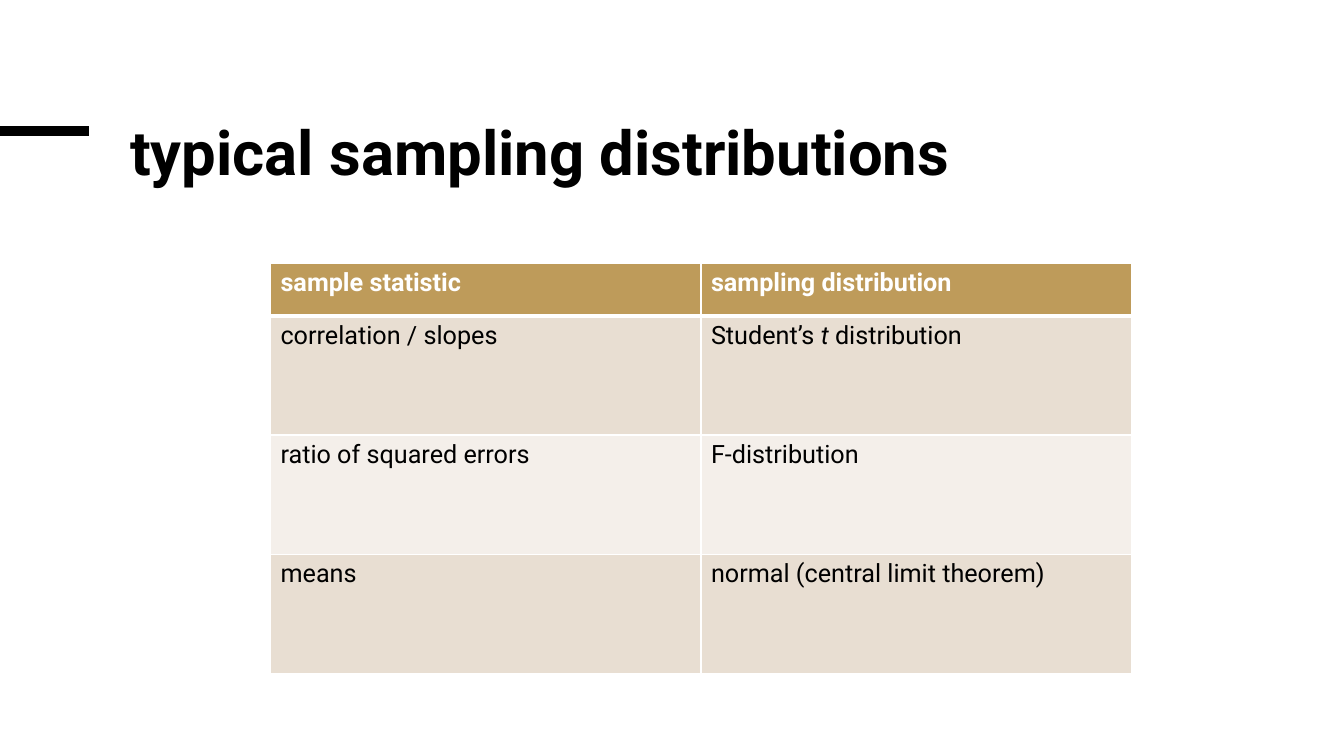
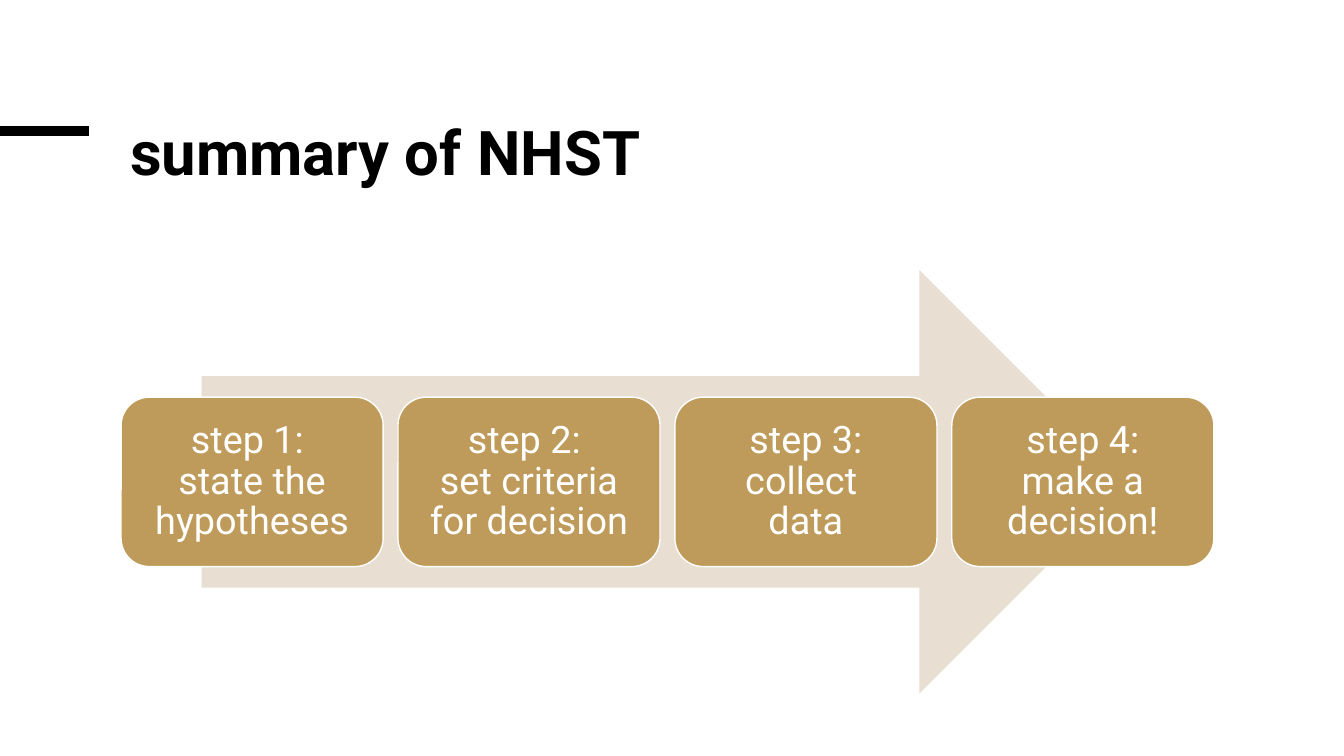
from lxml import etree
from pptx import Presentation
from pptx.dml.color import RGBColor
from pptx.enum.shapes import MSO_CONNECTOR, MSO_SHAPE
from pptx.enum.text import MSO_ANCHOR, MSO_AUTO_SIZE, PP_ALIGN
from pptx.oxml.ns import qn
from pptx.util import Pt

STRAIGHT = MSO_CONNECTOR.STRAIGHT
ARROW = MSO_SHAPE.RIGHT_ARROW
ROUNDED = MSO_SHAPE.ROUNDED_RECTANGLE
TOP, MIDDLE = MSO_ANCHOR.TOP, MSO_ANCHOR.MIDDLE
LEFT, CENTER = PP_ALIGN.LEFT, PP_ALIGN.CENTER
NO_FIT = MSO_AUTO_SIZE.NONE

FONT = "Roboto"
COLORS = {
    "ink": "000000",
    "white": "FFFFFF",
    "gold": "BE9B5A",
    "sand": "E8DED2",
    "cream": "F4EFEA",
}
TITLE_ONLY = 5
THIN, THICK = 1, 3

DISTRIBUTIONS = [
    [["sample statistic"], ["sampling distribution"]],
    [["correlation / slopes"], ["Student’s ", "*t", " distribution"]],
    [["ratio of squared errors"], ["F-distribution"]],
    [["means"], ["normal (central limit theorem)"]],
]
STEPS = [
    ["step 1: ", "state the hypotheses"],
    ["step 2: ", "set criteria for decision"],
    ["step 3: collect ", "data"],
    ["step 4: make a decision!"],
]


def color(name):
    return RGBColor.from_string(COLORS[name])


def add_span(para, text, size, tint, bold=False, italic=False):
    span = para.add_run()
    span.text = text
    font = span.font
    font.name, font.size = FONT, Pt(size)
    font.bold, font.italic = bold, italic
    font.color.rgb = color(tint)


def add_slide(deck, title):
    page = deck.slides.add_slide(deck.slide_layouts[TITLE_ONLY])
    rule = page.shapes.add_connector(STRAIGHT, 0, Pt(93.5), Pt(63.5), Pt(93.5))
    rule.line.color.rgb = color("ink")
    rule.line.width = Pt(6.75)
    etree.SubElement(rule._element.spPr, qn("a:effectLst"))

    box = page.shapes.title
    box.left, box.top, box.width, box.height = Pt(85.7), Pt(85.7), Pt(781), Pt(102)
    frame = box.text_frame
    frame.word_wrap = True
    frame.auto_size = NO_FIT
    frame.vertical_anchor = TOP
    para = frame.paragraphs[0]
    para.alignment = LEFT
    para.line_spacing = 0.85
    add_span(para, title, 44, "ink", bold=True)
    return page


def set_borders(cell, top, bottom):
    properties = cell._tc.get_or_add_tcPr()
    widths = {"lnL": THIN, "lnR": THIN, "lnT": top, "lnB": bottom}
    for index, (side, width) in enumerate(widths.items()):
        border = etree.Element(qn(f"a:{side}"), w=str(Pt(width)))
        fill = etree.SubElement(border, qn("a:solidFill"))
        etree.SubElement(fill, qn("a:srgbClr"), val=COLORS["white"])
        properties.insert(index, border)


def fill_cell(cell, spans, row):
    header = row == 0
    cell.fill.solid()
    cell.fill.fore_color.rgb = color("gold" if header else "sand" if row % 2 else "cream")
    set_borders(cell, THICK if row == 1 else THIN, THICK if header else THIN)
    para = cell.text_frame.paragraphs[0]
    for text in spans:
        add_span(para, text.removeprefix("*"), 18, "white" if header else "ink",
                 bold=header, italic=text.startswith("*"))


def add_grid(page, rows, left, top, width, header_height, row_height):
    height = header_height + row_height * (len(rows) - 1)
    table = page.shapes.add_table(
        len(rows), len(rows[0]), Pt(left), Pt(top), Pt(width), Pt(height)).table
    for index, cells in enumerate(rows):
        table.rows[index].height = Pt(row_height if index else header_height)
        for column, spans in enumerate(cells):
            fill_cell(table.cell(index, column), spans, index)


def add_block(page, kind, left, top, width, height, fill):
    block = page.shapes.add_shape(kind, Pt(left), Pt(top), Pt(width), Pt(height))
    block.shadow.inherit = False
    block.fill.solid()
    block.fill.fore_color.rgb = color(fill)
    block.line.fill.background()
    return block


def add_step(page, lines, left, top, width, height):
    box = add_block(page, ROUNDED, left, top, width, height, "gold")
    box.line.color.rgb = color("white")
    box.line.width = Pt(1)
    frame = box.text_frame
    frame.word_wrap = True
    frame.vertical_anchor = MIDDLE
    frame.margin_left = frame.margin_right = Pt(13.5)
    frame.margin_top = frame.margin_bottom = Pt(13.5)
    para = frame.paragraphs[0]
    para.alignment = CENTER
    para.line_spacing = 0.9
    for index, text in enumerate(lines):
        if index:
            para.add_line_break()
        add_span(para, text, 27, "white")


def add_process(page, steps):
    add_block(page, ARROW, 144, 193, 664, 302.4, "sand")
    left, width, gap = 86.5, 187.2, 10.6
    for index, lines in enumerate(steps):
        add_step(page, lines, left + index * (width + gap), 283.7, width, 121)


def main():
    deck = Presentation()
    deck.slide_width, deck.slide_height = Pt(960), Pt(540)
    page = add_slide(deck, "typical sampling distributions")
    add_grid(page, DISTRIBUTIONS, 193.2, 188, 615, 37.5, 85.2)
    page = add_slide(deck, "summary of NHST")
    add_process(page, STEPS)
    deck.save("out.pptx")


if __name__ == "__main__":
    main()
